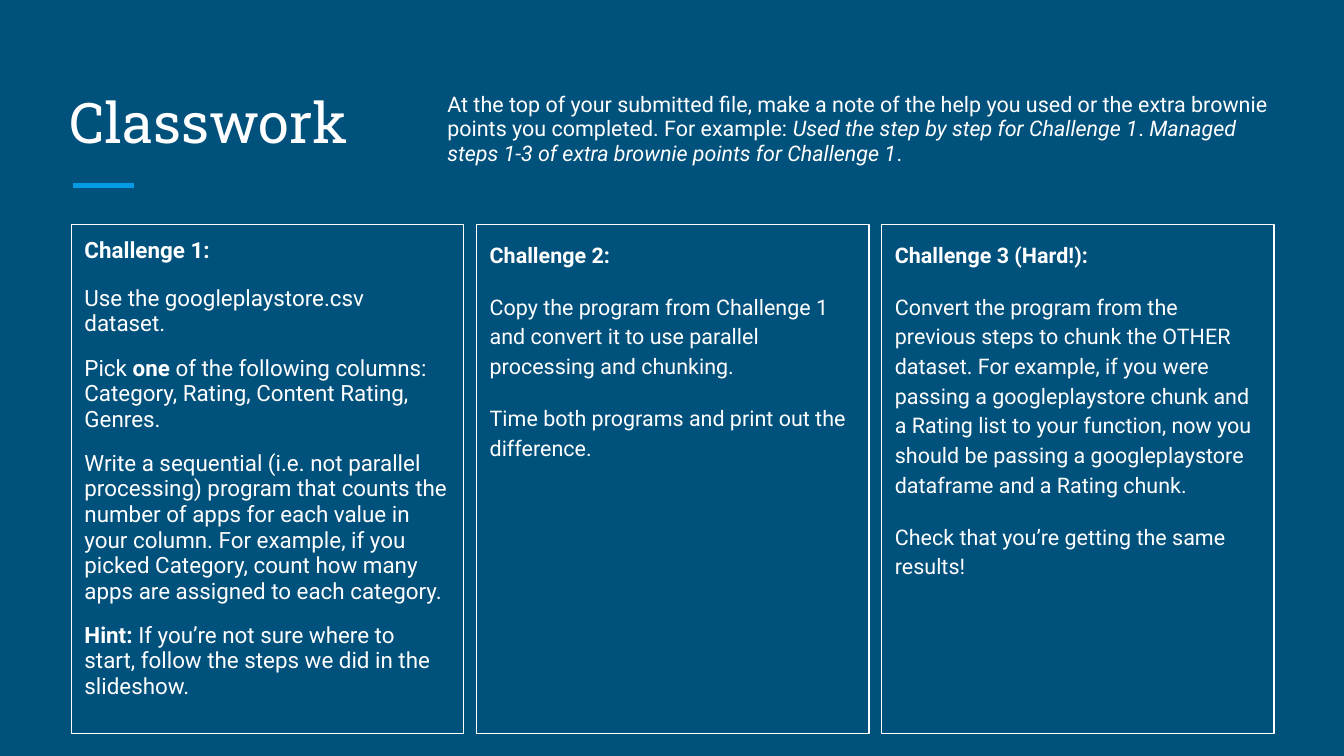
from dataclasses import dataclass

from lxml import etree
from pptx import Presentation
from pptx.dml.color import RGBColor
from pptx.enum.shapes import MSO_CONNECTOR, MSO_SHAPE
from pptx.enum.text import MSO_ANCHOR, PP_ALIGN
from pptx.oxml.ns import qn
from pptx.util import Inches, Pt

RECTANGLE = MSO_SHAPE.RECTANGLE
STRAIGHT = MSO_CONNECTOR.STRAIGHT
TOP, BOTTOM = MSO_ANCHOR.TOP, MSO_ANCHOR.BOTTOM
LEFT = PP_ALIGN.LEFT


@dataclass(frozen=True)
class Theme:
    background: RGBColor = RGBColor(0x00, 0x51, 0x7C)
    accent: RGBColor = RGBColor(0x03, 0x9B, 0xE5)
    text: RGBColor = RGBColor(0xFF, 0xFF, 0xFF)
    title_font: str = "Roboto Slab"
    body_font: str = "Roboto"
    title_size: float = 30
    large_size: float = 12
    body_size: float = 11.5
    border_width: float = 0.75
    accent_width: float = 3
    inset: float = 0.1


@dataclass(frozen=True)
class Area:
    left: float
    top: float
    width: float
    height: float

    def lengths(self) -> list:
        return [Inches(v) for v in (self.left, self.top, self.width, self.height)]


@dataclass(frozen=True)
class Span:
    text: str
    bold: bool = False
    italic: bool = False


@dataclass(frozen=True)
class Para:
    spans: tuple[Span, ...]
    before: float = 0
    after: float = 0


@dataclass(frozen=True)
class Style:
    size: float
    font: str
    spacing: float = 1.0


@dataclass(frozen=True)
class Card:
    paras: tuple[Para, ...]
    style: Style


def plain(text: str, before: float = 0, after: float = 0) -> Para:
    return Para((Span(text),), before, after)


def heading(text: str) -> Para:
    return Para((Span(text, bold=True),))


THEME = Theme()
TITLE = Style(THEME.title_size, THEME.title_font)
COMPACT = Style(THEME.body_size, THEME.body_font, 0.95)
COMPACT_LARGE = Style(THEME.large_size, THEME.body_font, 0.95)
OPEN = Style(THEME.body_size, THEME.body_font, 1.15)

# Widescreen page and card grid, in inches
PAGE_WIDTH = 10
PAGE_HEIGHT = PAGE_WIDTH * 9 / 16
FIRST_CARD = Area(0.53, 1.67, 2.92, 3.79)
LAST_CARD_LEFT = 6.56

NOTE = Para((
    Span("At the top of your submitted file, make a note of the help you used or "
         "the extra brownie points you completed. For example: "),
    Span("Used the step by step for Challenge 1", italic=True),
    Span(". "),
    Span("Managed steps 1-3 of extra brownie points for Challenge 1", italic=True),
    Span("."),
), after=10)

CARDS = (
    Card((
        heading("Challenge 1:"),
        plain("Use the googleplaystore.csv dataset.", before=12),
        Para((Span("Pick "), Span("one ", bold=True),
              Span("of the following columns: Category, Rating, Content Rating, Genres.")),
             before=10),
        plain("Write a sequential (i.e. not parallel processing) program that counts "
              "the number of apps for each value in your column. For example, if you "
              "picked Category, count how many apps are assigned to each category.",
              before=10),
        Para((Span("Hint: ", bold=True),
              Span("If you’re not sure where to start, follow the steps we did in "
                   "the slideshow.")), before=10, after=10),
    ), COMPACT_LARGE),
    Card((
        heading("Challenge 2:"),
        plain("Copy the program from Challenge 1 and convert it to use parallel "
              "processing and chunking.", before=12),
        plain("Time both programs and print out the difference.", before=12, after=12),
    ), OPEN),
    Card((
        heading("Challenge 3 (Hard!):"),
        plain("Convert the program from the previous steps to chunk the OTHER dataset. "
              "For example, if you were passing a googleplaystore chunk and a Rating "
              "list to your function, now you should be passing a googleplaystore "
              "dataframe and a Rating chunk.", before=12),
        plain("Check that you’re getting the same results!", before=12, after=12),
    ), OPEN),
)
COLUMN_STEP = (LAST_CARD_LEFT - FIRST_CARD.left) / (len(CARDS) - 1)


def write_text(box, paras: tuple[Para, ...], style: Style, anchor=TOP) -> None:
    frame = box.text_frame
    frame.word_wrap = True
    frame.vertical_anchor = anchor
    frame.margin_left = frame.margin_right = Inches(THEME.inset)
    frame.margin_top = frame.margin_bottom = Inches(THEME.inset)
    for index, para in enumerate(paras):
        paragraph = frame.add_paragraph() if index else frame.paragraphs[0]
        paragraph.alignment = LEFT
        paragraph.line_spacing = style.spacing
        paragraph.space_before = Pt(para.before)
        paragraph.space_after = Pt(para.after)
        for span in para.spans:
            run = paragraph.add_run()
            run.text = span.text
            run.font.name = style.font
            run.font.size = Pt(style.size)
            run.font.color.rgb = THEME.text
            run.font.bold = span.bold
            run.font.italic = span.italic


def add_text(page, area: Area, para: Para, style: Style, anchor=TOP) -> None:
    write_text(page.shapes.add_textbox(*area.lengths()), (para,), style, anchor)


def add_card(page, column: int, card: Card) -> None:
    area = Area(FIRST_CARD.left + column * COLUMN_STEP, FIRST_CARD.top,
                FIRST_CARD.width, FIRST_CARD.height)
    box = page.shapes.add_shape(RECTANGLE, *area.lengths())
    box.shadow.inherit = False
    box.fill.background()
    box.line.color.rgb = THEME.text
    box.line.width = Pt(THEME.border_width)
    write_text(box, card.paras, card.style)


def add_accent(page, left: float, right: float, top: float) -> None:
    line = page.shapes.add_connector(
        STRAIGHT, Inches(left), Inches(top), Inches(right), Inches(top))
    line.line.color.rgb = THEME.accent
    line.line.width = Pt(THEME.accent_width)
    etree.SubElement(line.element.spPr, qn("a:effectLst"))


def main() -> None:
    deck = Presentation()
    deck.slide_width, deck.slide_height = Inches(PAGE_WIDTH), Inches(PAGE_HEIGHT)
    page = deck.slides.add_slide(deck.slide_layouts[6])
    page.background.fill.solid()
    page.background.fill.fore_color.rgb = THEME.background

    # Header
    add_accent(page, 0.54, 1, 1.38)
    add_text(page, Area(0.42, 0.5, 9.15, 0.75), plain("Classwork"), TITLE, BOTTOM)
    add_text(page, Area(3.23, 0.59, 6.35, 0.75), NOTE, COMPACT)

    # Challenge cards
    for column, card in enumerate(CARDS):
        add_card(page, column, card)

    deck.save("out.pptx")


if __name__ == "__main__":
    main()
